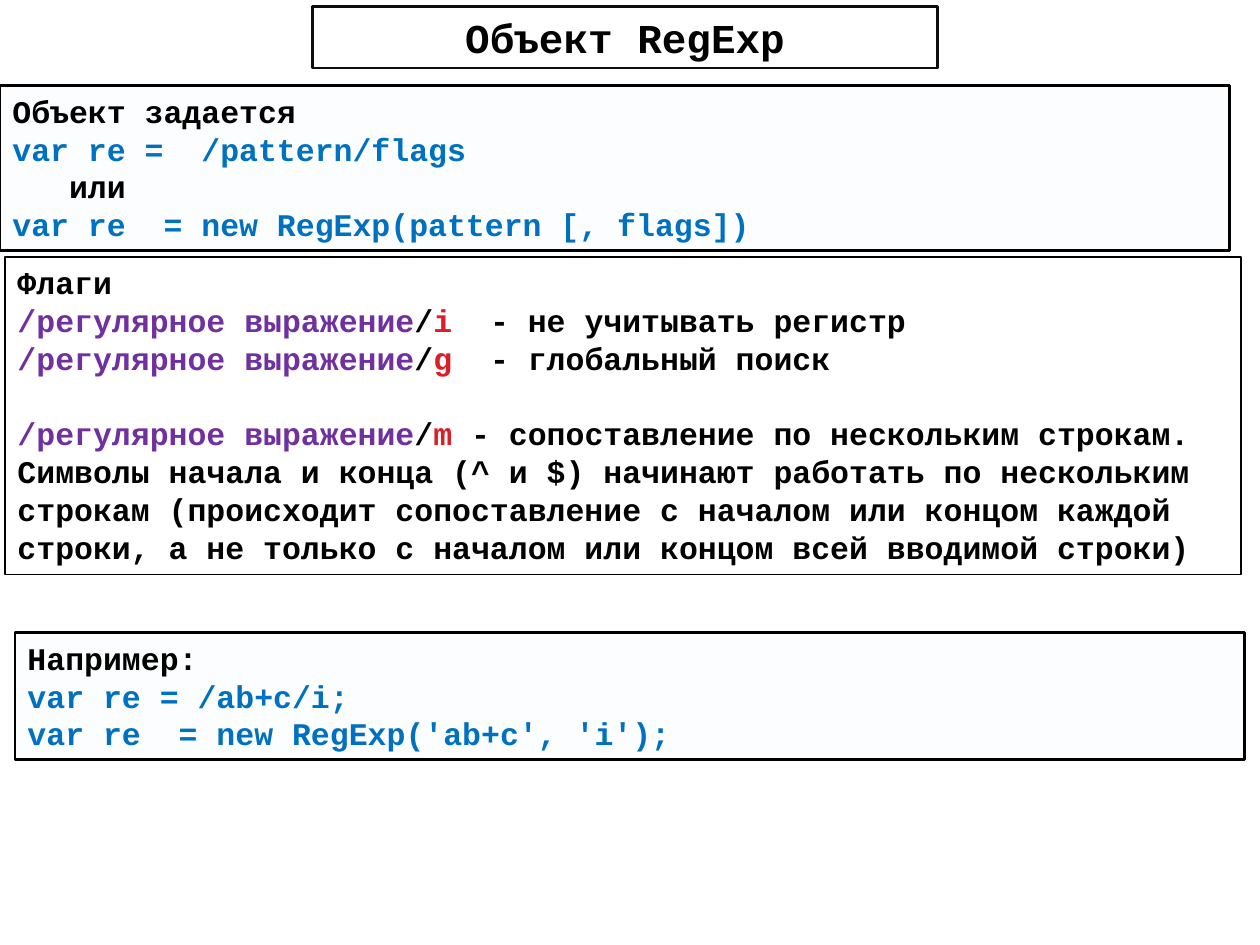
from pptx import Presentation
from pptx.dml.color import RGBColor
from pptx.enum.shapes import MSO_SHAPE
from pptx.enum.text import MSO_ANCHOR, MSO_AUTO_SIZE, PP_ALIGN
from pptx.oxml.ns import qn
from pptx.util import Inches, Pt
from lxml import etree

BLACK = RGBColor(0x00, 0x00, 0x00)
WHITE = RGBColor(0xFF, 0xFF, 0xFF)
FRAME = RGBColor(0x0D, 0x0D, 0x0D)
PALE = RGBColor(0xD3, 0xEE, 0xF5)
BLUE = RGBColor(0x00, 0x70, 0xC0)
PURPLE = RGBColor(0x70, 0x30, 0xA0)
RED = RGBColor(0xDA, 0x1F, 0x28)


class Page:
    font = "Courier New"
    size = 18

    def __init__(self, deck):
        self.slide = deck.slides.add_slide(deck.slide_layouts[5])

    def style(self, span, color=BLACK, size=size):
        span.font.name = self.font
        span.font.size = Pt(size)
        span.font.bold = True
        span.font.color.rgb = color

    def title(self, text, left, top, width, height):
        box = self.slide.shapes.title
        box.left, box.top = Inches(left), Inches(top)
        box.width, box.height = Inches(width), Inches(height)
        box.fill.solid()
        box.fill.fore_color.rgb = WHITE
        box.line.color.rgb = FRAME
        box.line.width = Pt(1.5)
        frame = box.text_frame
        frame.text = text
        frame.auto_size = MSO_AUTO_SIZE.NONE
        frame.vertical_anchor = MSO_ANCHOR.MIDDLE
        frame.paragraphs[0].alignment = PP_ALIGN.CENTER
        self.style(frame.paragraphs[0].runs[0], size=23.4)

    def panel(self, lines, left, top, width, height, line_width=1.5, tinted=True):
        """Each line is a list of (text, colour) spans with optional layout."""
        box = self.slide.shapes.add_shape(
            MSO_SHAPE.RECTANGLE, Inches(left), Inches(top), Inches(width), Inches(height))
        box.shadow.inherit = False
        box.line.color.rgb = BLACK
        box.line.width = Pt(line_width)
        if tinted:
            box.fill.solid()
            box.fill.fore_color.rgb = PALE
            color = box.fill._xPr.find(".//" + qn("a:srgbClr"))
            etree.SubElement(color, qn("a:alpha")).set("val", "8000")
        else:
            box.fill.background()
        frame = box.text_frame
        frame.word_wrap = True
        frame.auto_size = MSO_AUTO_SIZE.SHAPE_TO_FIT_TEXT
        frame.vertical_anchor = MSO_ANCHOR.TOP
        for number, (spans, layout) in enumerate(lines):
            para = frame.add_paragraph() if number else frame.paragraphs[0]
            para.alignment = PP_ALIGN.LEFT
            para.space_before = Pt(layout.get("before", 0))
            if "indent" in layout:
                para._p.get_or_add_pPr().set("marL", str(Inches(layout["indent"])))
            for text, color in spans:
                span = para.add_run()
                span.text = text
                self.style(span, color)


def line(text, color=BLACK, **layout):
    return [(text, color)], layout


def flag(letter, meaning, **layout):
    return [("/регулярное выражение", PURPLE), ("/", BLACK),
            (letter, RED), (meaning, BLACK)], layout


deck = Presentation()
deck.slide_width, deck.slide_height = Inches(10), Inches(7.5)
page = Page(deck)

# Heading
page.title("Объект RegExp", 2.48, 0.05, 4.96, 0.49)

# Two ways to define the object
page.panel([
    line("Объект задается"),
    line("var re =  /pattern/flags", BLUE),
    line("или", indent=0.45),
    line("var re  = new RegExp(pattern [, flags])", BLUE),
], 0, 0.68, 9.76, 1.31)

# Example
page.panel([
    line("Например:"),
    line("var re = /ab+c/i;", BLUE),
    line("var re  = new RegExp('ab+c', 'i');", BLUE),
], 0.12, 5.02, 9.76, 1.01)

# Flags
page.panel([
    line("Флаги"),
    flag("i", "  - не учитывать регистр"),
    flag("g", "  - глобальный поиск"),
    flag("m", " - сопоставление по нескольким строкам. Символы начала и конца "
         "(^ и $) начинают работать по нескольким строкам (происходит "
         "сопоставление с началом или концом каждой строки, а не только "
         "с началом или концом всей вводимой строки)", before=21.6),
], 0.04, 2.04, 9.81, 2.52, line_width=1, tinted=False)

deck.save("out.pptx")
